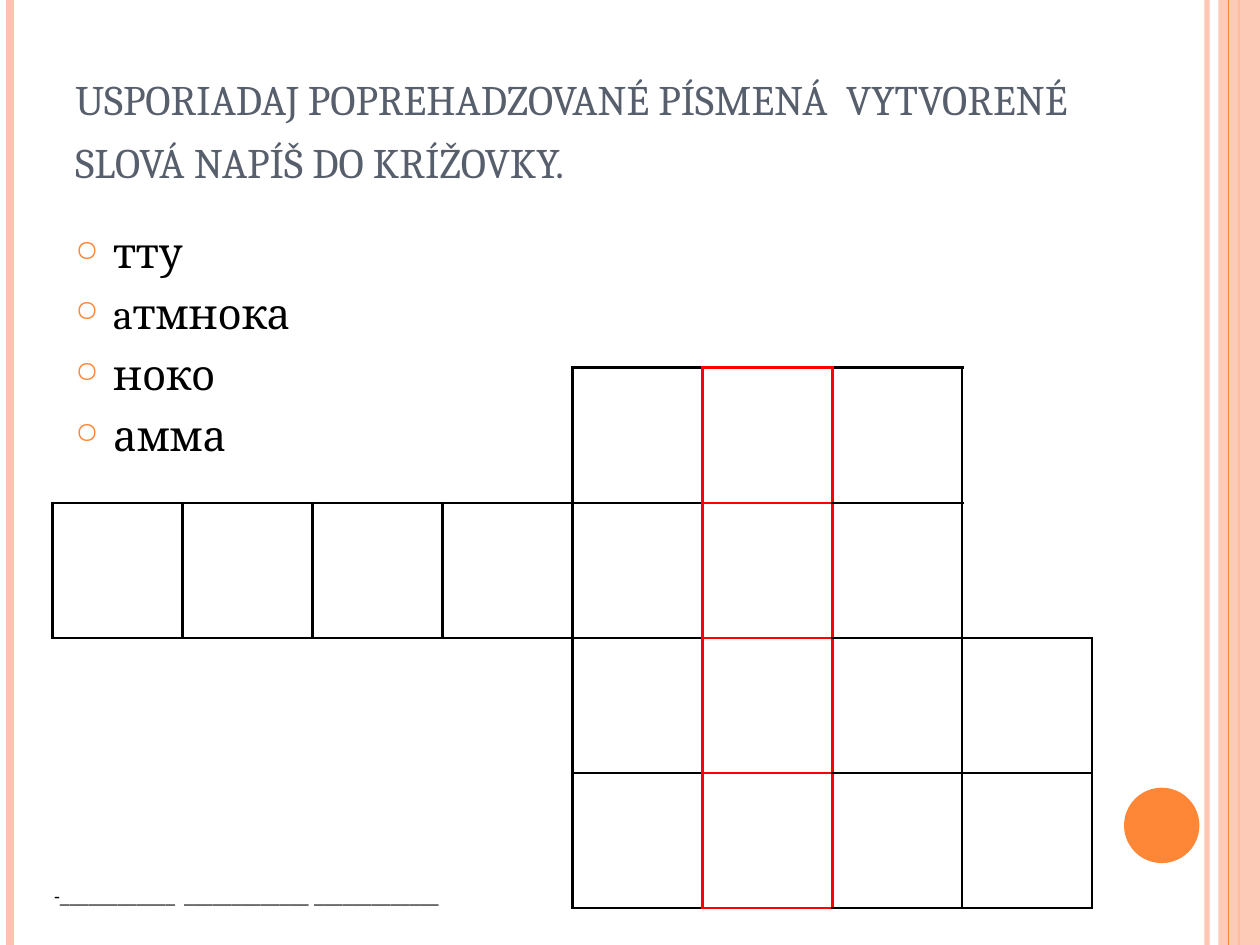
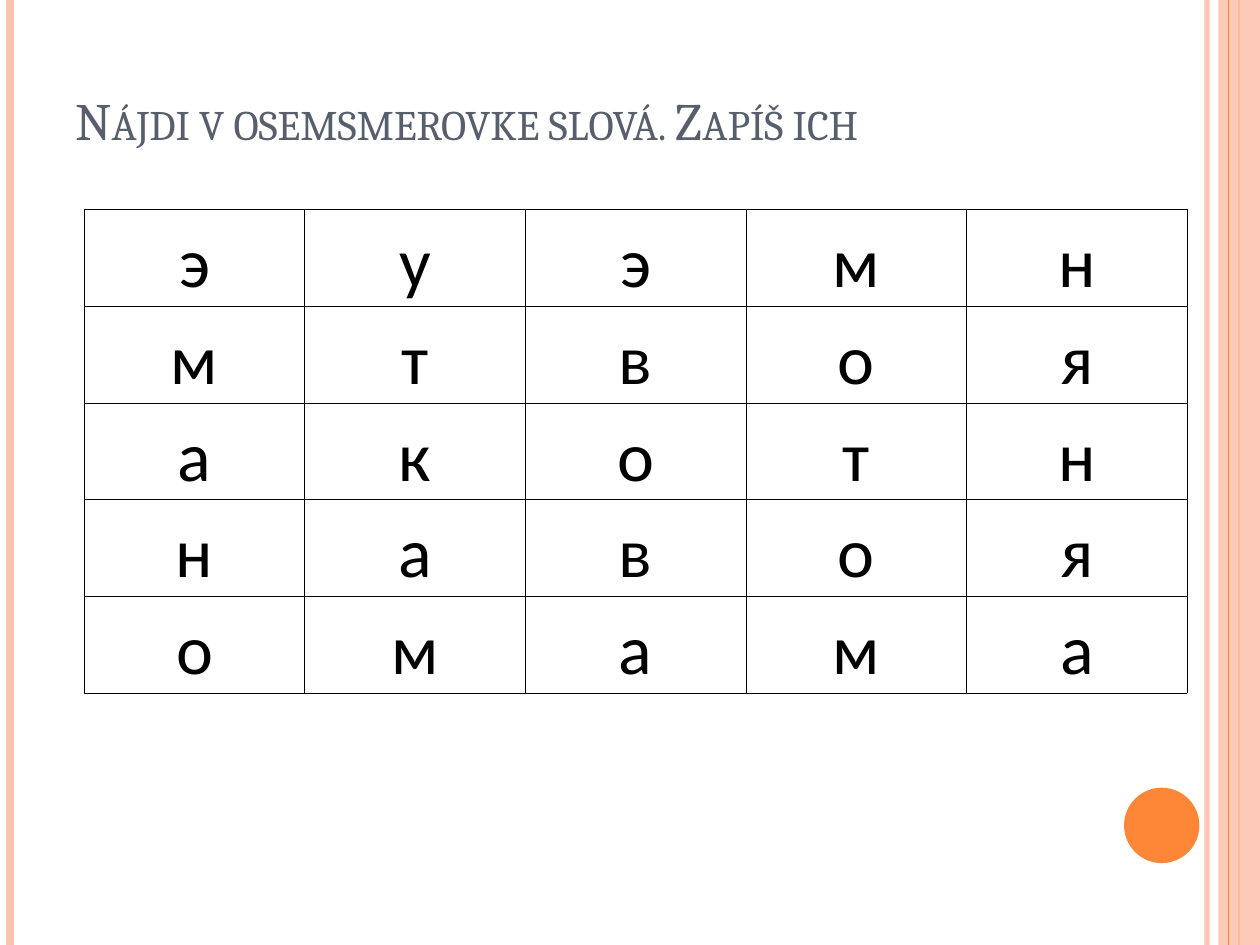
from dataclasses import dataclass

from lxml.etree import SubElement
from pptx import Presentation
from pptx.dml.color import RGBColor
from pptx.enum.shapes import MSO_CONNECTOR as Connector, MSO_SHAPE as Shape
from pptx.enum.text import MSO_ANCHOR as Anchor, PP_ALIGN as Align
from pptx.oxml.ns import qn
from pptx.util import Cm, Pt


@dataclass(frozen=True)
class Theme:
    """Colours, fonts and type sizes of the presentation."""
    peach: str = "FEC3AE"
    orange: str = "FE8637"
    slate: str = "575F6D"
    black: str = "000000"
    red: str = "FF0000"
    serif: str = "Cambria"
    sans: str = "Calibri"
    title: int = 30
    body: int = 24
    blank: int = 11
    letter: int = 40


class Deck:
    """Holds the theme and the current slide, and adds elements to it."""

    def __init__(self, theme):
        """Open an empty 4:3 presentation."""
        self.theme = theme
        self.show = Presentation()
        self.show.slide_width, self.show.slide_height = Cm(25.4), Cm(19.05)

    def new_slide(self, title, top, width):
        """Start a slide with its side bands, dot and title."""
        self.slide = self.show.slides.add_slide(self.show.slide_layouts[6])
        theme = self.theme
        self.stripe(24.33, theme.peach, 3, 93)
        self.stripe(0.21, theme.peach, 4.5)
        self.stripe(24.98, theme.orange, 1.5)
        self.shape(Shape.RECTANGLE, (24.56, 0, 0.84, 19.05), theme.peach, 87)
        self.stripe(24.77, theme.orange, 0.75)
        self.shape(Shape.OVAL, (22.66, 15.88, 1.52, 1.52), theme.orange)
        heading = self.text(title, (1.27, top, width, 3.18), theme.title, theme.slate, Anchor.BOTTOM)
        heading.paragraphs[0].runs[0].font._element.set("cap", "small")

    def opacity(self, fill, percent):
        """Make a solid fill partly transparent."""
        color = fill._xPr.find(f"{qn('a:solidFill')}/{qn('a:srgbClr')}")
        SubElement(color, qn("a:alpha"), val=str(percent * 1000))

    def stripe(self, x, color, width, percent=100):
        """Draw a line over the full slide height."""
        stripe = self.slide.shapes.add_connector(Connector.STRAIGHT, Cm(x), 0, Cm(x), self.show.slide_height)
        stripe.line.color.rgb = RGBColor.from_string(color)
        stripe.line.width = Pt(width)
        if percent < 100:
            self.opacity(stripe.line.fill, percent)
        SubElement(stripe._element.spPr, qn("a:effectLst"))

    def shape(self, kind, box, color, percent=100):
        """Add a filled shape without outline."""
        shape = self.slide.shapes.add_shape(kind, *map(Cm, box))
        shape.shadow.inherit = False
        shape.line.fill.background()
        shape.fill.solid()
        shape.fill.fore_color.rgb = RGBColor.from_string(color)
        if percent < 100:
            self.opacity(shape.fill, percent)

    def style(self, paragraph, font, size, color):
        """Format every run of a paragraph."""
        for run in paragraph.runs:
            run.font.name, run.font.size = font, Pt(size)
            run.font.color.rgb = RGBColor.from_string(color)

    def text(self, words, box, size, color, anchor=Anchor.TOP):
        """Add a wrapped serif text box and return its frame."""
        frame = self.slide.shapes.add_textbox(*map(Cm, box)).text_frame
        frame.word_wrap, frame.vertical_anchor = True, anchor
        frame.text = words
        for paragraph in frame.paragraphs:
            self.style(paragraph, self.theme.serif, size, color)
        return frame

    def bullets(self, items, box):
        """Add a list with small round bullets."""
        frame = self.text("\n".join(items), box, self.theme.body, self.theme.black)
        for index, paragraph in enumerate(frame.paragraphs):
            props = paragraph._p.get_or_add_pPr()
            props.set("marL", str(Cm(0.76)))
            props.set("indent", str(-Cm(0.76)))
            SubElement(SubElement(props, qn("a:buClr")), qn("a:srgbClr"), val=self.theme.orange)
            SubElement(props, qn("a:buSzPct"), val="70000")
            SubElement(props, qn("a:buChar"), char="○")
            if index:
                paragraph.space_before = Pt(6)

    def border(self, cell, side, color, width):
        """Set one border of a cell, or clear it when there is no colour."""
        line = SubElement(cell._tc.get_or_add_tcPr(), qn(f"a:ln{side}"), w=str(Pt(width)))
        if color:
            SubElement(SubElement(line, qn("a:solidFill")), qn("a:srgbClr"), val=color)
        else:
            SubElement(line, qn("a:noFill"))

    def grid(self, rows, box, size, width, edge_color, align=Align.LEFT):
        """Add a table whose border colours come from the two cells they part."""
        table = self.slide.shapes.add_table(len(rows), len(rows[0]), *map(Cm, box)).table
        table.first_row = table.horz_banding = False
        sides = {"L": (0, -1), "R": (0, 1), "T": (-1, 0), "B": (1, 0)}
        for r, row in enumerate(rows):
            for c, words in enumerate(row):
                cell = table.cell(r, c)
                for side, (down, across) in sides.items():
                    self.border(cell, side, edge_color((r, c), (r + down, c + across)), width)
                cell.fill.background()
                cell.vertical_anchor = Anchor.BOTTOM
                cell.margin_left = cell.margin_right = cell.margin_top = Cm(0.03)
                cell.margin_bottom = 0
                cell.text_frame.text = words
                paragraph = cell.text_frame.paragraphs[0]
                paragraph.alignment = align
                self.style(paragraph, self.theme.sans, size, self.theme.black)


def crossword(deck):
    """Build the slide with scrambled words and an empty crossword."""
    theme = deck.theme
    deck.new_slide("usporiadaj poprehadzované písmená  vytvorené slová napíš do krížovky.", 0.76, 20.75)
    deck.bullets(["тту", "aтмнока", "ноко", "амма"], (1.27, 4.45, 20.75, 13.54))
    word_spans = [range(4, 7), range(0, 7), range(4, 8), range(4, 8)]
    squares = {(r, c) for r, span in enumerate(word_spans) for c in span}
    key_column = 5

    def edge_color(*cells):
        """Give red around the key column and black around other squares."""
        if any(c == key_column for _, c in cells):
            return theme.red
        return theme.black if squares.intersection(cells) else None

    answer_blanks = ["-" + "_" * 12, "_" * 13, "_" * 13] + [""] * 5
    rows = [[""] * 8 for _ in range(3)] + [answer_blanks]
    deck.grid(rows, (1.06, 7.41, 20.96, 10.9), theme.blank, 1.5, edge_color)


def word_search(deck):
    """Build the slide with the letter grid."""
    theme = deck.theme
    deck.new_slide("Nájdi v osemsmerovke slová. Zapíš ich", 0, 22.02)
    letters = ["эуэмн", "мтвоя", "акотн", "навоя", "омама"]
    deck.grid(letters, (1.7, 4.23, 22.23, 9.74), theme.letter, 0.5,
              lambda *cells: theme.black, Align.CENTER)


def main():
    """Build and save the presentation."""
    deck = Deck(Theme())
    crossword(deck)
    word_search(deck)
    deck.show.save("out.pptx")


if __name__ == "__main__":
    main()
